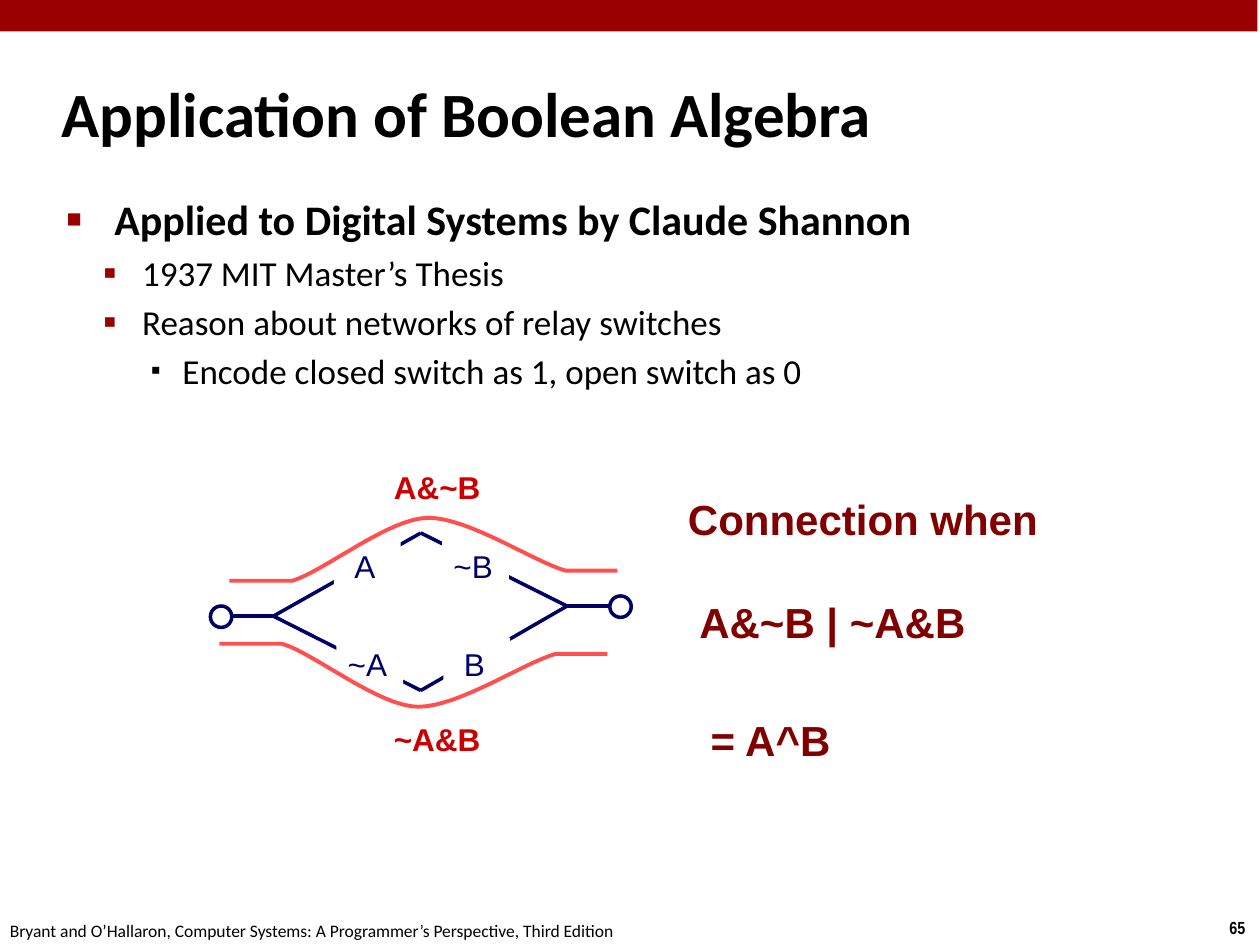
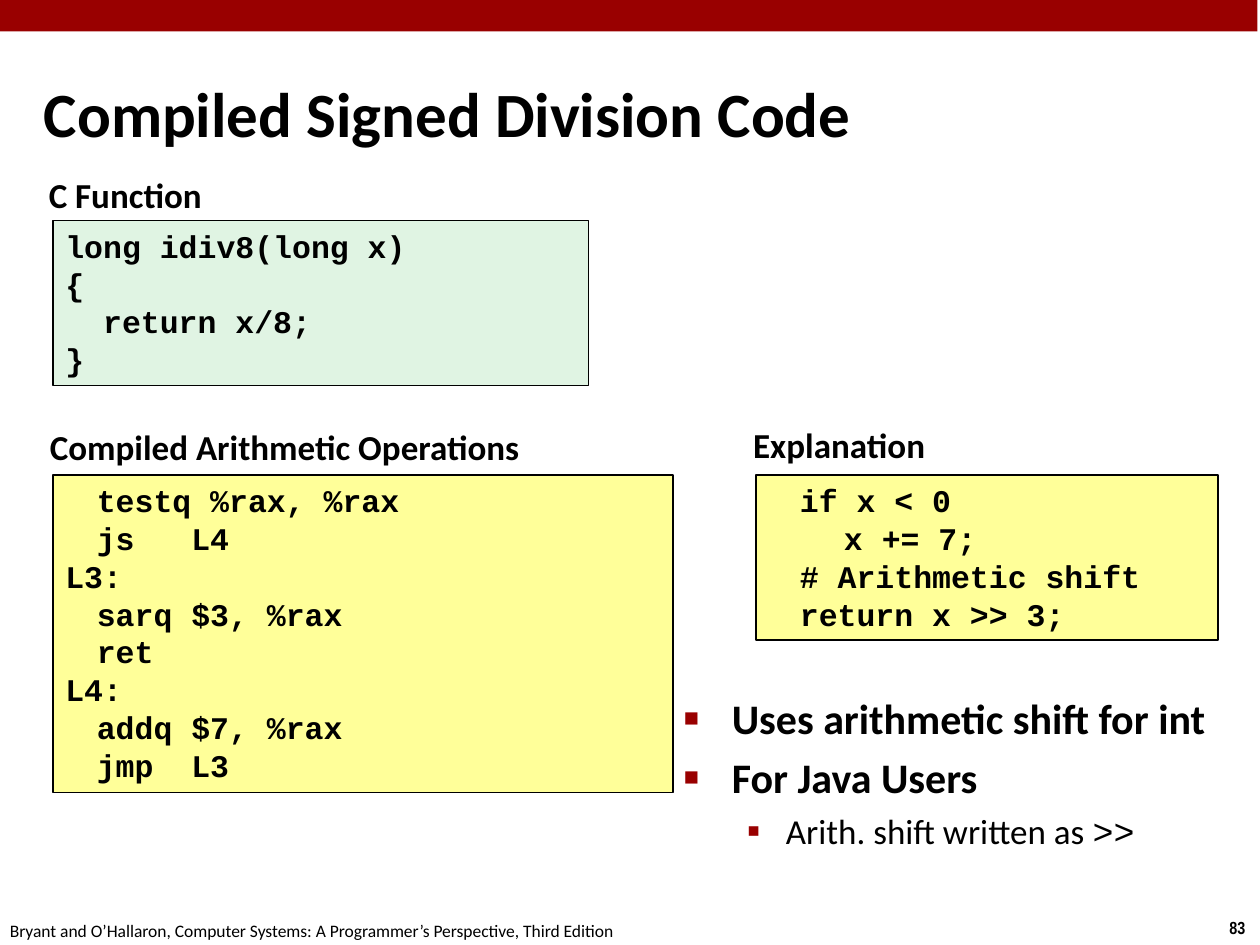
from dataclasses import dataclass

from lxml import etree
from pptx import Presentation
from pptx import util as u
from pptx.dml.color import RGBColor
from pptx.enum import shapes, text
from pptx.oxml.ns import qn

PX = 9144


@dataclass(frozen=True)
class Theme:
    band: str = "990000"
    ink: str = "000000"
    paper: str = "FFFFFF"
    wire: str = "000066"
    path_line: str = "FF5050"
    path_label: str = "CC0000"
    formula: str = "800000"
    source_code: str = "E0F4E3"
    yellow_code: str = "FFFF99"
    body_font: str = "Calibri"
    diagram_font: str = "Arial"
    code_font: str = "Courier New"
    number_font: str = "Arial Narrow"
    title_size: int = 36
    head_size: int = 24
    sub_size: int = 20
    label_size: int = 18
    footer_size: int = 10


@dataclass(frozen=True)
class Level:
    left: int
    hang: int
    size: int
    bold: bool
    mark: str
    mark_percent: int
    mark_color: str


T = Theme()
LEVELS = [
    Level(38, 38, T.head_size, True, "■", 60, T.band),
    Level(60, 31, T.sub_size, False, "▪", 110, T.band),
    Level(92, 25, T.sub_size, False, "▪", 80, T.ink),
]
DEFAULT_INSETS = (10, 5, 10, 5)
DIAGRAM_INSETS = (6, 6, 10, 6)
LABEL_INSETS = (6, 6, 5, 6)
CENTER = text.PP_ALIGN.CENTER


def px(*lengths):
    return [u.Emu(round(length * PX)) for length in lengths]


def rgb(value):
    return RGBColor.from_string(value)


def write(paragraph, words, font=T.body_font, size=T.head_size, color=T.ink,
          bold=False, align=None, before=0, spacing=None):
    run = paragraph.add_run()
    run.text = words
    run.font.name = font
    run.font.size = u.Pt(size)
    run.font.bold = bold
    run.font.color.rgb = rgb(color)
    if align is not None:
        paragraph.alignment = align
    if before:
        paragraph.space_before = u.Pt(before)
    if spacing:
        paragraph.line_spacing = spacing


def indent(paragraph, left, hang=0):
    properties = paragraph._p.get_or_add_pPr()
    properties.set("marL", str(left * PX))
    properties.set("indent", str(-hang * PX))
    return properties


def add_mark(paragraph, level, left):
    properties = indent(paragraph, left, level.hang)
    color = etree.SubElement(properties, qn("a:buClr"))
    etree.SubElement(color, qn("a:srgbClr"), val=level.mark_color)
    etree.SubElement(properties, qn("a:buSzPct"), val=str(level.mark_percent * 1000))
    etree.SubElement(properties, qn("a:buFont"), typeface=T.diagram_font)
    etree.SubElement(properties, qn("a:buChar"), char=level.mark)


def add_tab(paragraph, position):
    tabs = etree.SubElement(paragraph._p.get_or_add_pPr(), qn("a:tabLst"))
    etree.SubElement(tabs, qn("a:tab"), pos=str(position * PX), algn="l")


def set_frame(shape, insets=DEFAULT_INSETS, wrap=True, anchor=text.MSO_ANCHOR.TOP):
    frame = shape.text_frame
    frame.margin_left, frame.margin_top, frame.margin_right, frame.margin_bottom = px(*insets)
    frame.word_wrap = wrap
    frame.vertical_anchor = anchor
    return frame


def next_paragraph(frame, index):
    return frame.add_paragraph() if index else frame.paragraphs[0]


def add_text(slide, box, words, insets=DEFAULT_INSETS, wrap=False, **style):
    frame = set_frame(slide.shapes.add_textbox(*px(*box)), insets, wrap)
    write(frame.paragraphs[0], words, **style)


def add_block(slide, box, fill, line=None, weight=1, kind=shapes.MSO_SHAPE.RECTANGLE):
    block = slide.shapes.add_shape(kind, *px(*box))
    block.shadow.inherit = False
    block.fill.solid()
    block.fill.fore_color.rgb = rgb(fill)
    if line:
        block.line.color.rgb = rgb(line)
        block.line.width = u.Pt(weight)
    else:
        block.line.fill.background()
    return block


def add_title(slide, box, words):
    frame = set_frame(slide.shapes.add_textbox(*px(*box)), anchor=text.MSO_ANCHOR.MIDDLE)
    indent(frame.paragraphs[0], 13, 13)
    write(frame.paragraphs[0], words, size=T.title_size, bold=True)


def add_bullets(slide, box, items, sub_left=LEVELS[1].left):
    frame = set_frame(slide.shapes.add_textbox(*px(*box)))
    for index, (depth, *pieces) in enumerate(items):
        level = LEVELS[depth]
        paragraph = next_paragraph(frame, index)
        add_mark(paragraph, level, sub_left if depth == 1 else level.left)
        for words, font in zip(pieces, (T.body_font, T.code_font)):
            write(paragraph, words, font=font, size=level.size, bold=level.bold,
                  before=level.size * 0.2 if index else 0)


def add_code(slide, box, fill, code):
    frame = set_frame(add_block(slide, box, fill, T.ink))
    for index, code_line in enumerate(code):
        paragraph = next_paragraph(frame, index)
        add_tab(paragraph, 25)
        write(paragraph, code_line, font=T.code_font, size=T.label_size, bold=True,
              align=text.PP_ALIGN.LEFT)


def add_wire(slide, start, end):
    wire = slide.shapes.add_connector(shapes.MSO_CONNECTOR.STRAIGHT, *px(*start, *end))
    wire.line.color.rgb = rgb(T.wire)
    wire.line.width = u.Pt(2)
    etree.SubElement(wire._element.spPr, qn("a:effectLst"))


def curve(p0, p1, p2, p3, steps=16):
    for step in range(1, steps + 1):
        t = step / steps
        weights = ((1 - t) ** 3, 3 * t * (1 - t) ** 2, 3 * t * t * (1 - t), t ** 3)
        yield tuple(sum(w * p[axis] for w, p in zip(weights, (p0, p1, p2, p3)))
                    for axis in (0, 1))


def add_current_path(slide, points):
    builder = slide.shapes.build_freeform(*px(*points[0]))
    builder.add_line_segments([px(*point) for point in points[1:]], close=False)
    current = builder.convert_to_shape()
    current.shadow.inherit = False
    current.fill.background()
    current.line.color.rgb = rgb(T.path_line)
    current.line.width = u.Pt(2.25)


def add_relay_network(slide):
    left, right, top, bottom = (217, 489), (450, 481), (334, 423), (334, 548)
    for start, end in ((left, top), (left, bottom), (top, right), (bottom, right),
                       (right, (484, 481)), ((184, 489), left)):
        add_wire(slide, start, end)
    for x, y, switch in ((265, 428, "A"), (267, 506, "~A"), (351, 428, "~B"), (352, 506, "B")):
        frame = set_frame(add_block(slide, (x, y, 53, 42), T.paper), DIAGRAM_INSETS)
        write(frame.paragraphs[0], switch, font=T.diagram_font, size=T.label_size,
              color=T.wire, align=CENTER)
    for x, y in ((167, 481), (484, 473)):
        add_block(slide, (x, y, 17, 17), T.paper, T.wire, 2, shapes.MSO_SHAPE.OVAL)

    rise, crest, fall = (232, 461), (340, 411), (449, 453)
    upper = [(182, 461), rise,
             *curve(rise, (258, 453), (309, 411), crest),
             *curve(crest, (372, 411), (424, 446), fall), (490, 453)]
    lower = [(x - 8, 972 - y) for x, y in upper]
    for points, label, label_top in ((upper, "A&~B", 369), (lower, "~A&B", 569)):
        add_current_path(slide, points)
        add_text(slide, (306, label_top, 81, 42), label, LABEL_INSETS, font=T.diagram_font,
                 size=T.label_size, color=T.path_label, bold=True, align=CENTER, spacing=0.9)


def add_connection_rule(slide):
    style = dict(font=T.diagram_font, color=T.formula, bold=True)
    frame = set_frame(slide.shapes.add_textbox(*px(540, 386, 295, 212)), DIAGRAM_INSETS, False)
    write(frame.paragraphs[0], "Connection when", **style)
    formula = frame.add_paragraph()
    indent(formula, 9)
    write(formula, "A&~B | ~A&B", before=30, **style)
    add_text(slide, (557, 561, 108, 51), "= A^B", LABEL_INSETS, True, align=CENTER, **style)


def start_slide(deck, number):
    slide = deck.slides.add_slide(deck.slide_layouts[6])
    add_block(slide, (-2, 0, 1000, 25), T.band)
    add_text(slide, (966, 723, 34, 27), number, font=T.number_font,
             size=T.footer_size, bold=True)
    add_text(slide, (-2, 725, 508, 27),
             "Bryant and O’Hallaron, Computer Systems: A Programmer’s Perspective, Third Edition",
             size=T.footer_size)
    return slide


def build_boolean_slide(deck):
    slide = start_slide(deck, "65")
    add_title(slide, (39, 48, 830, 83), "Application of Boolean Algebra")
    add_bullets(slide, (43, 149, 864, 544), [
        (0, "Applied to Digital Systems by Claude Shannon"),
        (1, "1937 MIT Master’s Thesis"),
        (1, "Reason about networks of relay switches"),
        (2, "Encode closed switch as 1, open switch as 0"),
    ])
    add_relay_network(slide)
    add_connection_rule(slide)


def build_division_slide(deck):
    slide = start_slide(deck, "83")
    add_code(slide, (42, 377, 492, 252), T.yellow_code, [
        "\ttestq %rax, %rax", "\tjs\tL4", "L3:", "\tsarq\t$3, %rax", "\tret",
        "L4:", "\taddq\t$7, %rax", "\tjmp\tL3"])
    add_title(slide, (25, 58, 867, 63), "Compiled Signed Division Code")
    add_bullets(slide, (533, 545, 467, 130), [
        (0, "Uses arithmetic shift for int"),
        (0, "For Java Users"),
        (1, "Arith. shift written as ", ">>"),
    ], sub_left=81)
    add_code(slide, (42, 175, 425, 131), T.source_code, [
        "long idiv8(long x)", "{", "  return x/8;", "}"])
    add_code(slide, (600, 377, 367, 131), T.yellow_code, [
        "\tif x < 0", "    x += 7;", "\t# Arithmetic shift", "\treturn x >> 3;"])
    for x, y, width, caption in ((33, 133, 133, "C Function"),
                                 (33, 333, 386, "Compiled Arithmetic Operations"),
                                 (592, 331, 148, "Explanation")):
        add_text(slide, (x, y, width, 44), caption, (5, 5, 5, 5), size=T.sub_size,
                 bold=True, align=CENTER)


def main():
    deck = Presentation()
    deck.slide_width, deck.slide_height = px(1000, 750)
    build_boolean_slide(deck)
    build_division_slide(deck)
    deck.save("out.pptx")


if __name__ == "__main__":
    main()
